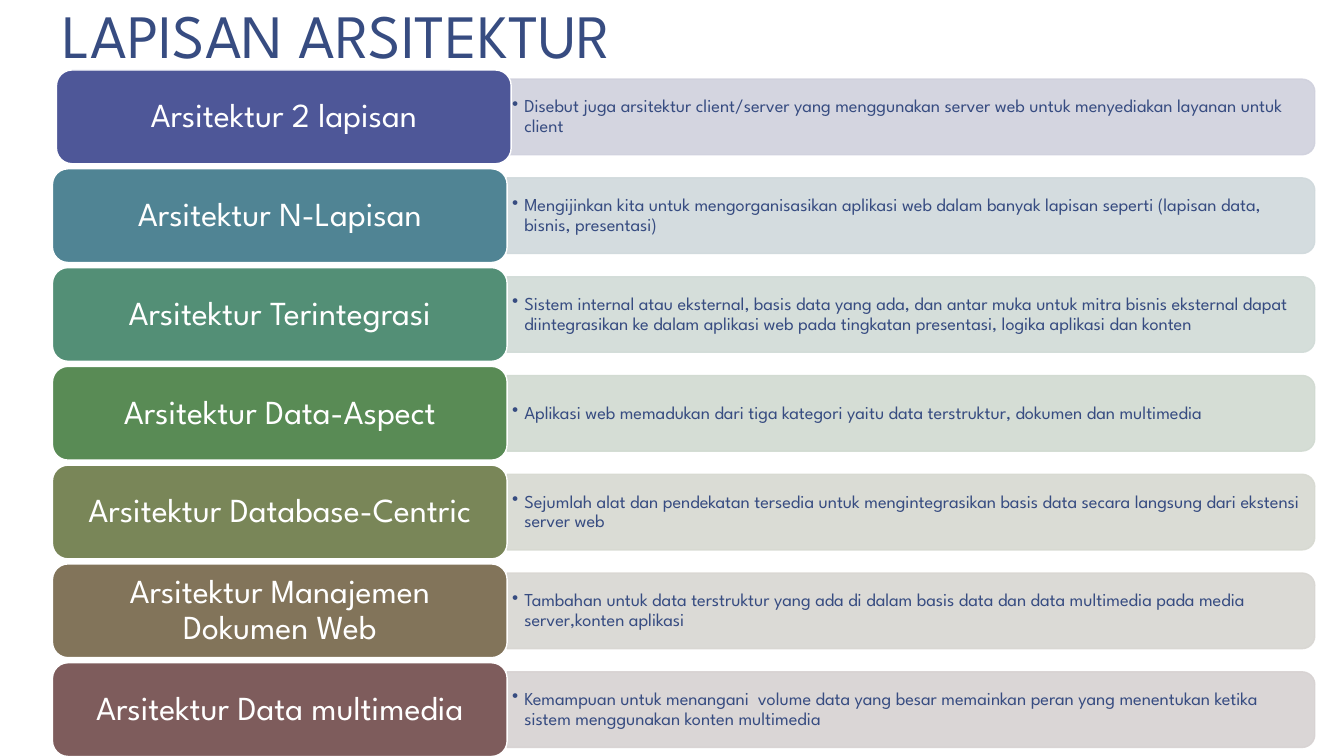
"""Builds the slide on the layers of web architecture."""
from lxml.etree import SubElement
from pptx import Presentation
from pptx.dml.color import RGBColor
from pptx.enum.shapes import MSO_SHAPE
from pptx.enum.text import MSO_ANCHOR, PP_ALIGN
from pptx.oxml.ns import qn
from pptx.util import Inches, Pt

COLOURS = {
    "ink": "374C81", "white": "FFFFFF",
    "indigo": "4E5798", "indigo tint": "D0D1DD",
    "teal": "508494", "teal tint": "D0D9DC",
    "jade": "538F76", "jade tint": "D1DBD7",
    "green": "598B55", "green tint": "D1DAD1",
    "olive": "798658", "olive tint": "D7D9D1",
    "brown": "82745A", "brown tint": "D8D6D2",
    "maroon": "7E5C5C", "maroon tint": "D7D2D2",
}

LAYERS = [
    ("indigo", "Arsitektur 2 lapisan",
     "Disebut juga arsitektur client/server yang menggunakan server web untuk "
     "menyediakan layanan untuk client"),
    ("teal", "Arsitektur N-Lapisan",
     "Mengijinkan kita untuk mengorganisasikan aplikasi web dalam banyak "
     "lapisan seperti (lapisan data, bisnis, presentasi)"),
    ("jade", "Arsitektur Terintegrasi",
     "Sistem internal atau eksternal, basis data yang ada, dan antar muka untuk "
     "mitra bisnis eksternal dapat diintegrasikan ke dalam aplikasi web pada "
     "tingkatan presentasi, logika aplikasi dan konten"),
    ("green", "Arsitektur Data-Aspect",
     "Aplikasi web memadukan dari tiga kategori yaitu data terstruktur, dokumen "
     "dan multimedia"),
    ("olive", "Arsitektur Database-Centric",
     "Sejumlah alat dan pendekatan tersedia untuk mengintegrasikan basis data "
     "secara langsung dari ekstensi server web"),
    ("brown", "Arsitektur Manajemen Dokumen Web",
     "Tambahan untuk data terstruktur yang ada di dalam basis data dan data "
     "multimedia pada media server,konten aplikasi"),
    ("maroon", "Arsitektur Data multimedia",
     "Kemampuan untuk menangani  volume data yang besar memainkan peran yang "
     "menentukan ketika sistem menggunakan konten multimedia"),
]

FIRST_CENTRE, PITCH = 1.16, 0.98
LABEL_WIDTH, LABEL_HEIGHT = 4.51, 0.93
BAR_LEFT, BAR_LENGTH, BAR_HEIGHT = 5.03, 8.01, 0.75
DETAIL_WIDTH, DETAIL_HEIGHT = 7.98, 0.67


class LayerSlide:
    """Holds the style and the current slide."""

    font = "League Spartan"

    def __init__(self, slide):
        self.shapes = slide.shapes

    def add_text(self, frame, text, size, colour, spacing):
        frame.word_wrap = True
        paragraph = frame.paragraphs[0]
        paragraph.line_spacing = spacing
        run = paragraph.add_run()
        run.text = text
        run.font.name = self.font
        run.font.size = Pt(size)
        run.font.color.rgb = RGBColor.from_string(COLOURS[colour])
        return paragraph

    def block(self, preset, left, top, width, height, fill, line):
        block = self.shapes.add_shape(
            preset, Inches(left), Inches(top), Inches(width), Inches(height))
        block.shadow.inherit = False
        block.fill.solid()
        block.fill.fore_color.rgb = RGBColor.from_string(COLOURS[fill])
        block.line.color.rgb = RGBColor.from_string(COLOURS[line])
        block.line.width = Pt(1)
        return block

    def title(self, text):
        title = self.shapes.add_textbox(
            Inches(0.52), Inches(0.03), Inches(11.11), Inches(1.53))
        self.add_text(title.text_frame, text, 44, "ink", 0.85)

    def bar(self, centre, tint):
        left = BAR_LEFT + (BAR_LENGTH - BAR_HEIGHT) / 2
        bar = self.block(MSO_SHAPE.ROUND_2_SAME_RECTANGLE, left,
                         centre - BAR_LENGTH / 2, BAR_HEIGHT, BAR_LENGTH,
                         tint, tint)
        bar.rotation = 90
        for colour in bar._element.spPr.iter(qn("a:srgbClr")):
            SubElement(colour, qn("a:alpha"), val="90000")

    def detail(self, centre, text):
        detail = self.shapes.add_textbox(
            Inches(BAR_LEFT), Inches(centre - DETAIL_HEIGHT / 2),
            Inches(DETAIL_WIDTH), Inches(DETAIL_HEIGHT))
        frame = detail.text_frame
        frame.vertical_anchor = MSO_ANCHOR.MIDDLE
        frame.margin_left = frame.margin_right = Inches(0.05)
        frame.margin_top = frame.margin_bottom = Inches(0.03)
        paragraph = self.add_text(frame, text, 13, "ink", 0.9)
        paragraph.level = 1
        properties = paragraph._p.get_or_add_pPr()
        properties.set("marL", str(Inches(0.12)))
        properties.set("indent", str(-Inches(0.12)))
        SubElement(properties, qn("a:buChar"), char="•")

    def label(self, left, centre, text, colour):
        label = self.block(MSO_SHAPE.ROUNDED_RECTANGLE, left,
                           centre - LABEL_HEIGHT / 2, LABEL_WIDTH,
                           LABEL_HEIGHT, colour, "white")
        label.text_frame.vertical_anchor = MSO_ANCHOR.MIDDLE
        paragraph = self.add_text(label.text_frame, text, 24, "white", 0.9)
        paragraph.alignment = PP_ALIGN.CENTER


def main():
    deck = Presentation()
    deck.slide_width, deck.slide_height = Inches(13.33), Inches(7.5)
    page = LayerSlide(deck.slides.add_slide(deck.slide_layouts[6]))
    page.title("LAPISAN ARSITEKTUR")
    for index, (colour, name, description) in enumerate(LAYERS):
        centre = FIRST_CENTRE + index * PITCH
        page.bar(centre, f"{colour} tint")
        page.detail(centre, description)
        page.label(0.52 if index else 0.56, centre, name, colour)
    deck.save("out.pptx")


if __name__ == "__main__":
    main()
